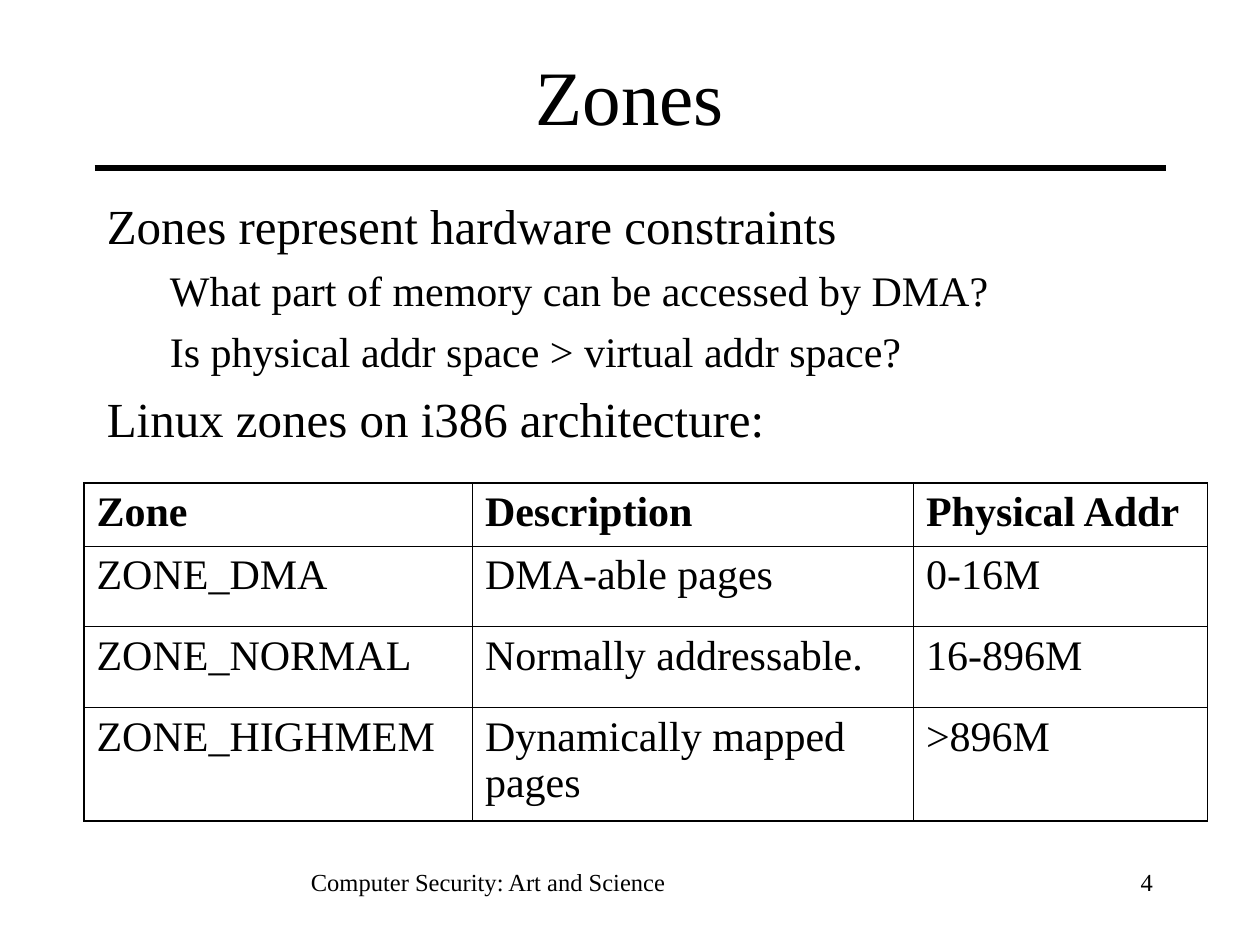
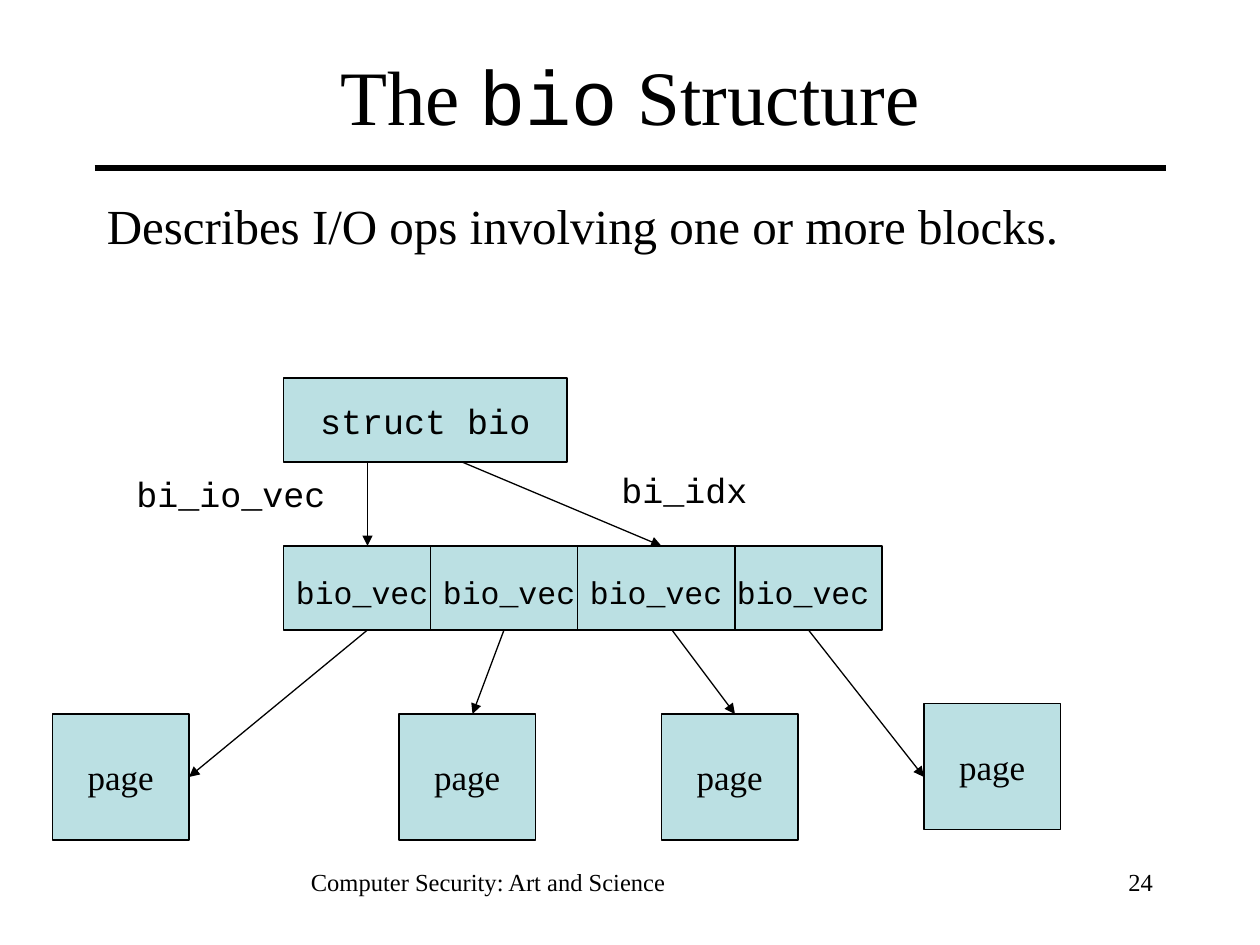
from lxml import etree
from pptx import Presentation
from pptx.dml.color import RGBColor
from pptx.enum.shapes import MSO_CONNECTOR, MSO_SHAPE
from pptx.enum.text import MSO_ANCHOR, MSO_AUTO_SIZE, PP_ALIGN
from pptx.oxml.ns import qn
from pptx.util import Pt

PX = 7620
SLIDE_WIDTH, SLIDE_HEIGHT = 1200, 900
TITLE_ONLY = 5

BLACK = RGBColor(0x00, 0x00, 0x00)
PALE_TEAL = RGBColor(0xBB, 0xE0, 0xE3)

SERIF = "Times New Roman"
MONO = "Courier New"

STRAIGHT = MSO_CONNECTOR.STRAIGHT
RECTANGLE = MSO_SHAPE.RECTANGLE
LEFT, CENTER, RIGHT = PP_ALIGN.LEFT, PP_ALIGN.CENTER, PP_ALIGN.RIGHT
TOP, MIDDLE = MSO_ANCHOR.TOP, MSO_ANCHOR.MIDDLE
NO_AUTOFIT = MSO_AUTO_SIZE.NONE

FOOTER = "Computer Security: Art and Science"
THIN_BORDER, OUTER_BORDER = 0.45, 1.08

BODY_LEVELS = (
    {"size": 28, "margin": 45, "indent": -45, "space": 7},
    {"size": 24, "margin": 97, "indent": -37, "space": 6},
)


def emu(*lengths):
    return [length * PX for length in lengths]


def add_run(paragraph, text, size, font=SERIF, bold=False):
    run = paragraph.add_run()
    run.text = text
    run.font.size = Pt(size)
    run.font.name = font
    run.font.bold = bold
    run.font.color.rgb = BLACK


def set_up_frame(shape, anchor=TOP, wrap=True):
    frame = shape.text_frame
    frame.auto_size = NO_AUTOFIT
    frame.word_wrap = wrap
    frame.vertical_anchor = anchor
    return frame


def add_text(slide, box, text, size, font=SERIF, align=LEFT, wrap=True):
    shape = slide.shapes.add_textbox(*emu(*box))
    paragraph = set_up_frame(shape, wrap=wrap).paragraphs[0]
    paragraph.alignment = align
    add_run(paragraph, text, size, font)


def add_line(slide, start, end, width=0.75, arrow=False):
    line = slide.shapes.add_connector(STRAIGHT, *emu(*start, *end))
    line.line.color.rgb = BLACK
    line.line.width = Pt(width)
    if arrow:
        outline = line.line._get_or_add_ln()
        etree.SubElement(outline, qn("a:tailEnd"), type="triangle")
    etree.SubElement(line._element.spPr, qn("a:effectLst"))


def add_block(slide, box, text="", font=SERIF):
    block = slide.shapes.add_shape(RECTANGLE, *emu(*box))
    block.shadow.inherit = False
    block.fill.solid()
    block.fill.fore_color.rgb = PALE_TEAL
    block.line.color.rgb = BLACK
    block.line.width = Pt(0.75)
    if text:
        paragraph = set_up_frame(block, MIDDLE, wrap=False).paragraphs[0]
        paragraph.alignment = CENTER
        add_run(paragraph, text, 20, font)


def add_titled_slide(presentation, title_runs, number):
    slide = presentation.slides.add_slide(presentation.slide_layouts[TITLE_ONLY])
    add_line(slide, (90, 160), (1110, 160), width=3)
    title = slide.shapes.title
    title.left, title.top, title.width, title.height = emu(90, 30, 1020, 120)
    paragraph = set_up_frame(title, MIDDLE).paragraphs[0]
    paragraph.alignment = CENTER
    for text, font in title_runs:
        add_run(paragraph, text, 44, font)
    add_text(slide, (90, 820, 750, 60), FOOTER, 14, align=CENTER)
    add_text(slide, (860, 820, 250, 60), str(number), 14, align=RIGHT)
    return slide


def add_body(slide, box, lines):
    frame = set_up_frame(slide.shapes.add_textbox(*emu(*box)))
    for index, (level, text) in enumerate(lines):
        style = BODY_LEVELS[level]
        paragraph = frame.paragraphs[0] if index == 0 else frame.add_paragraph()
        paragraph.level = level
        properties = paragraph._p.get_or_add_pPr()
        properties.set("marL", str(style["margin"] * PX))
        properties.set("indent", str(style["indent"] * PX))
        if index:
            paragraph.space_before = Pt(style["space"])
        add_run(paragraph, text, style["size"])


def set_borders(cell, widths):
    properties = cell._tc.get_or_add_tcPr()
    for side, width in widths.items():
        border = etree.SubElement(properties, qn(f"a:ln{side}"), w=str(Pt(width)))
        fill = etree.SubElement(border, qn("a:solidFill"))
        etree.SubElement(fill, qn("a:srgbClr"), val=str(BLACK))


def add_zone_table(slide, left, top, rows):
    column_widths = (370, 420, 280)
    row_heights = (60, 77, 77, 108)
    last_row, last_column = len(row_heights) - 1, len(column_widths) - 1
    box = (left, top, sum(column_widths), sum(row_heights))
    table = slide.shapes.add_table(len(row_heights), len(column_widths), *emu(*box)).table
    table.first_row = False
    table.horz_banding = False
    for column, width in zip(table.columns, column_widths):
        column.width = width * PX
    for row, height in zip(table.rows, row_heights):
        row.height = height * PX
    for row_index, texts in enumerate(rows):
        for column_index, text in enumerate(texts):
            cell = table.cell(row_index, column_index)
            outer_sides = {
                "L": column_index == 0,
                "R": column_index == last_column,
                "T": row_index == 0,
                "B": row_index == last_row,
            }
            set_borders(cell, {
                side: OUTER_BORDER if outer else THIN_BORDER
                for side, outer in outer_sides.items()
            })
            cell.fill.background()
            add_run(cell.text_frame.paragraphs[0], text, 24, bold=row_index == 0)


def add_bio_diagram(slide, left, top):
    def at(x, y):
        return left + x, top + y

    vector_top, vector_bottom = 160, 240
    add_block(slide, (*at(220, 0), 270, 80), "struct bio", MONO)
    add_block(slide, (*at(220, vector_top), 570, 80))
    for x in (360, 500, 650):
        add_line(slide, at(x, vector_top), at(x, vector_bottom))
    for index in range(4):
        add_text(slide, (*at(220 + 140 * index, 180), 150, 48), "bio_vec", 18, MONO, wrap=False)

    for start, end in ((300, 300), (390, 580)):
        add_line(slide, at(start, 80), at(end, vector_top), arrow=True)
    add_text(slide, (*at(68, 84), 204, 53), "bi_io_vec", 20, MONO, wrap=False)
    add_text(slide, (*at(530, 80), 144, 53), "bi_idx", 20, MONO, wrap=False)

    for x, y in ((0, 320), (330, 320), (580, 320), (830, 310)):
        add_block(slide, (*at(x, y), 130, 120), "page")
    page_arrows = (
        (300, (130, 380)),
        (430, (400, 320)),
        (590, (650, 320)),
        (720, (830, 380)),
    )
    for start, end in page_arrows:
        add_line(slide, at(start, vector_bottom), at(*end), arrow=True)


def build_zones_slide(presentation):
    slide = add_titled_slide(presentation, [("Zones", SERIF)], 4)
    add_body(slide, (90, 180, 1040, 260), [
        (0, "Zones represent hardware constraints"),
        (1, "What part of memory can be accessed by DMA?"),
        (1, "Is physical addr space > virtual addr space?"),
        (0, "Linux zones on i386 architecture:"),
    ])
    add_zone_table(slide, 80, 460, [
        ("Zone", "Description", "Physical Addr"),
        ("ZONE_DMA", "DMA-able pages", "0-16M"),
        ("ZONE_NORMAL", "Normally addressable.", "16-896M"),
        ("ZONE_HIGHMEM", "Dynamically mapped pages", ">896M"),
    ])


def build_bio_slide(presentation):
    title_runs = [("The ", SERIF), ("bio", MONO), (" Structure", SERIF)]
    slide = add_titled_slide(presentation, title_runs, 24)
    add_body(slide, (90, 180, 1040, 100), [
        (0, "Describes I/O ops involving one or more blocks."),
    ])
    add_bio_diagram(slide, 50, 360)


def main():
    presentation = Presentation()
    presentation.slide_width, presentation.slide_height = emu(SLIDE_WIDTH, SLIDE_HEIGHT)
    build_zones_slide(presentation)
    build_bio_slide(presentation)
    presentation.save("out.pptx")


if __name__ == "__main__":
    main()
